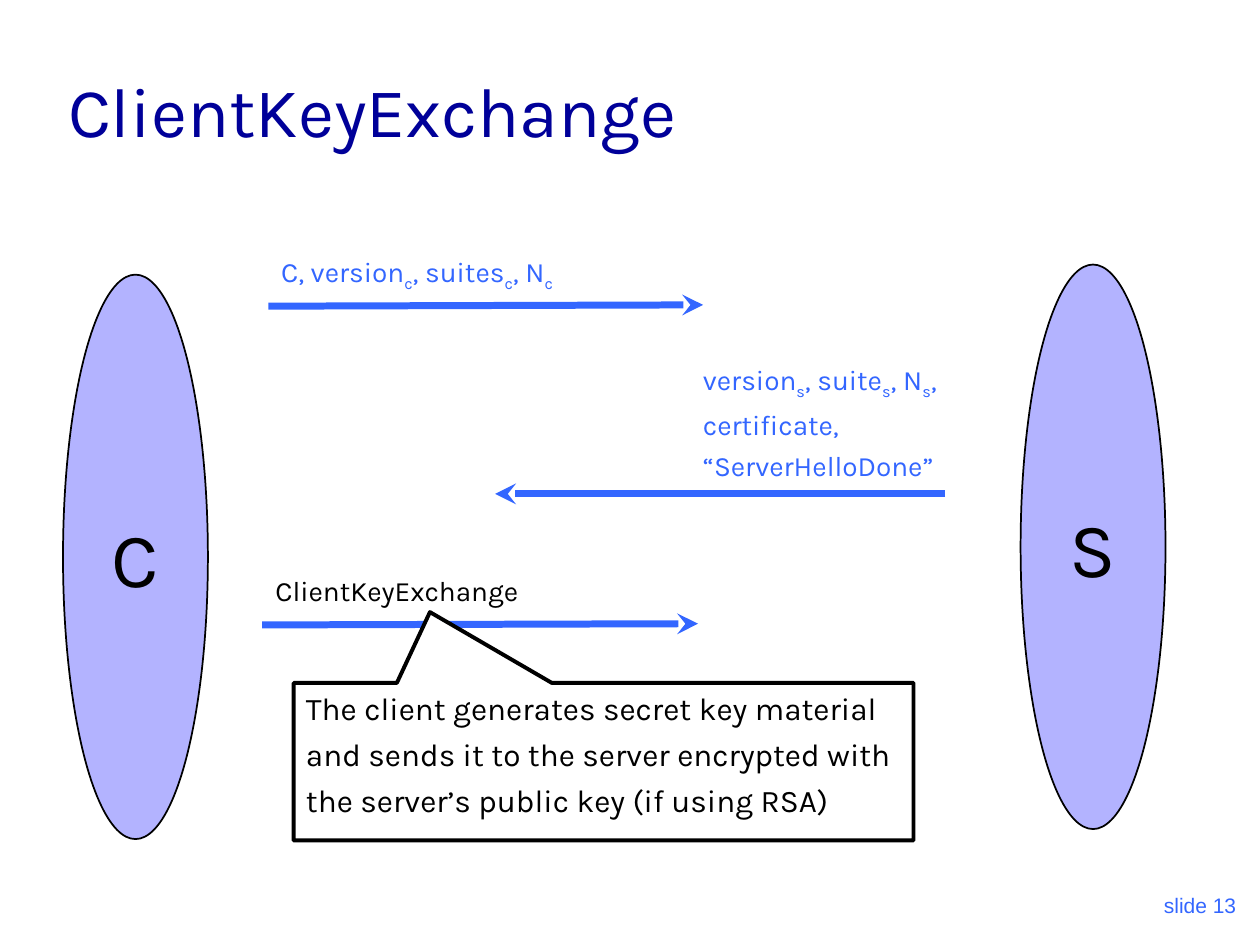
"""Build the ClientKeyExchange handshake slide."""
from dataclasses import dataclass

from pptx import Presentation
from pptx.dml.color import RGBColor
from pptx.enum.shapes import MSO_CONNECTOR as Connector, MSO_SHAPE as Preset
from pptx.enum.text import MSO_ANCHOR as Anchor, MSO_AUTO_SIZE as AutoSize, PP_ALIGN as Align
from pptx.oxml.ns import qn
from pptx.util import Inches, Pt
from lxml.etree import SubElement


@dataclass(frozen=True)
class Theme:
    font: str = "Karla"
    footer_font: str = "Arial"
    title: RGBColor = RGBColor(0x00, 0x00, 0x99)
    accent: RGBColor = RGBColor(0x33, 0x66, 0xFF)
    party: RGBColor = RGBColor(0xB3, 0xB3, 0xFF)
    ink: RGBColor = RGBColor(0x00, 0x00, 0x00)
    paper: RGBColor = RGBColor(0xFF, 0xFF, 0xFF)
    title_size: int = 40
    party_size: int = 44
    message_size: int = 16
    note_size: int = 18
    footer_size: int = 12


theme = Theme()
presentation = Presentation()
presentation.slide_width, presentation.slide_height = Inches(10), Inches(7.5)
column = presentation.slide_width / 100
row = presentation.slide_height / 75
slide = presentation.slides.add_slide(presentation.slide_layouts[5])


def area(left, top, width, height):
    return round(left * column), round(top * row), round(width * column), round(height * row)


def write(shape, lines, size, color, align=Align.LEFT, anchor=Anchor.TOP, wrap=True, gap=0, font=theme.font):
    """Write each line as runs, where every second run is a subscript."""
    frame = shape.text_frame
    frame.word_wrap = wrap
    frame.vertical_anchor = anchor
    for line_index, line in enumerate(lines):
        paragraph = frame.add_paragraph() if line_index else frame.paragraphs[0]
        paragraph.alignment = align
        if line_index:
            paragraph.space_before = Pt(gap)
        for run_index, text in enumerate(line):
            run = paragraph.add_run()
            run.text = text
            run.font.name, run.font.size = font, Pt(size)
            run.font.color.rgb = color
            if run_index % 2:
                run.font._element.set("baseline", "-25000")


footer = slide.shapes.add_textbox(*area(78.3, 68.3, 20.8, 5))
write(footer, [["slide 13"]], theme.footer_size, theme.accent, Align.RIGHT, Anchor.BOTTOM, font=theme.footer_font)

title = slide.shapes.title
title.left, title.top, title.width, title.height = area(4.4, 2.5, 85, 10)
write(title, [["ClientKeyExchange"]], theme.title_size, theme.title, anchor=Anchor.BOTTOM)
title.text_frame.auto_size = AutoSize.NONE

for name, left, top in [("C", 5, 21.8), ("S", 81, 21)]:
    party = slide.shapes.add_shape(Preset.OVAL, *area(left, top, 11.5, 44.8))
    party.shadow.inherit = False
    party.fill.solid()
    party.fill.fore_color.rgb = theme.party
    party.line.color.rgb, party.line.width = theme.ink, Pt(1)
    write(party, [[name]], theme.party_size, theme.ink, Align.CENTER, Anchor.MIDDLE, wrap=False)

for start_x, start_y, end_x, end_y in [
    (21.3, 24.3, 55.8, 24.2),
    (75, 39.2, 39.3, 39.2),
    (20.8, 49.6, 55.4, 49.5),
]:
    arrow = slide.shapes.add_connector(Connector.STRAIGHT, *area(start_x, start_y, end_x, end_y))
    arrow.line.color.rgb, arrow.line.width = theme.accent, Pt(4)
    SubElement(arrow.line._get_or_add_ln(), qn("a:tailEnd"), type="stealth")
    SubElement(arrow._element.spPr, qn("a:effectLst"))

messages = [
    ((21, 19.7, 24.2, 4.1), theme.accent, Align.CENTER,
     [["C, version", "c", ", suites", "c", ", N", "c"]]),
    ((54.8, 28.3, 21.2, 10.5), theme.accent, Align.LEFT,
     [["version", "s", ", suite", "s", ", N", "s", ","], ["certificate,"], ["“ServerHelloDone”"]]),
    ((20.6, 45, 21.8, 3.7), theme.ink, Align.CENTER, [["ClientKeyExchange"]]),
]
for place, color, align, lines in messages:
    message = slide.shapes.add_textbox(*area(*place))
    write(message, lines, theme.message_size, color, align, wrap=False, gap=4)
    message.text_frame.auto_size = AutoSize.SHAPE_TO_FIT_TEXT

note = slide.shapes.add_shape(Preset.RECTANGULAR_CALLOUT, *area(23.3, 54.2, 49.2, 12.5))
note.adjustments[0], note.adjustments[1] = -0.28, -0.95
note.shadow.inherit = False
note.fill.solid()
note.fill.fore_color.rgb = theme.paper
note.line.color.rgb, note.line.width = theme.ink, Pt(2.25)
note_lines = [
    ["The client generates secret key material"],
    ["and sends it to the server encrypted with"],
    ["the server’s public key (if using RSA)"],
]
write(note, note_lines, theme.note_size, theme.ink, gap=4.5)

presentation.save("out.pptx")
